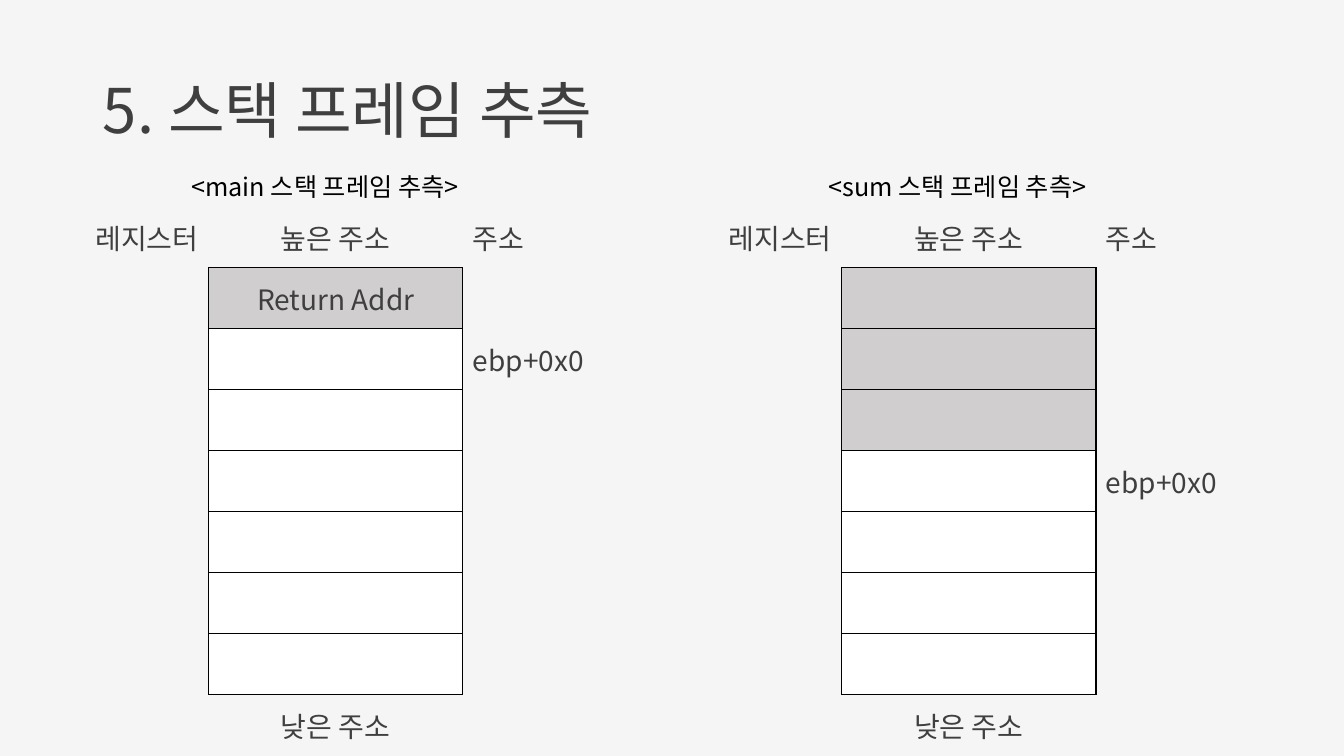
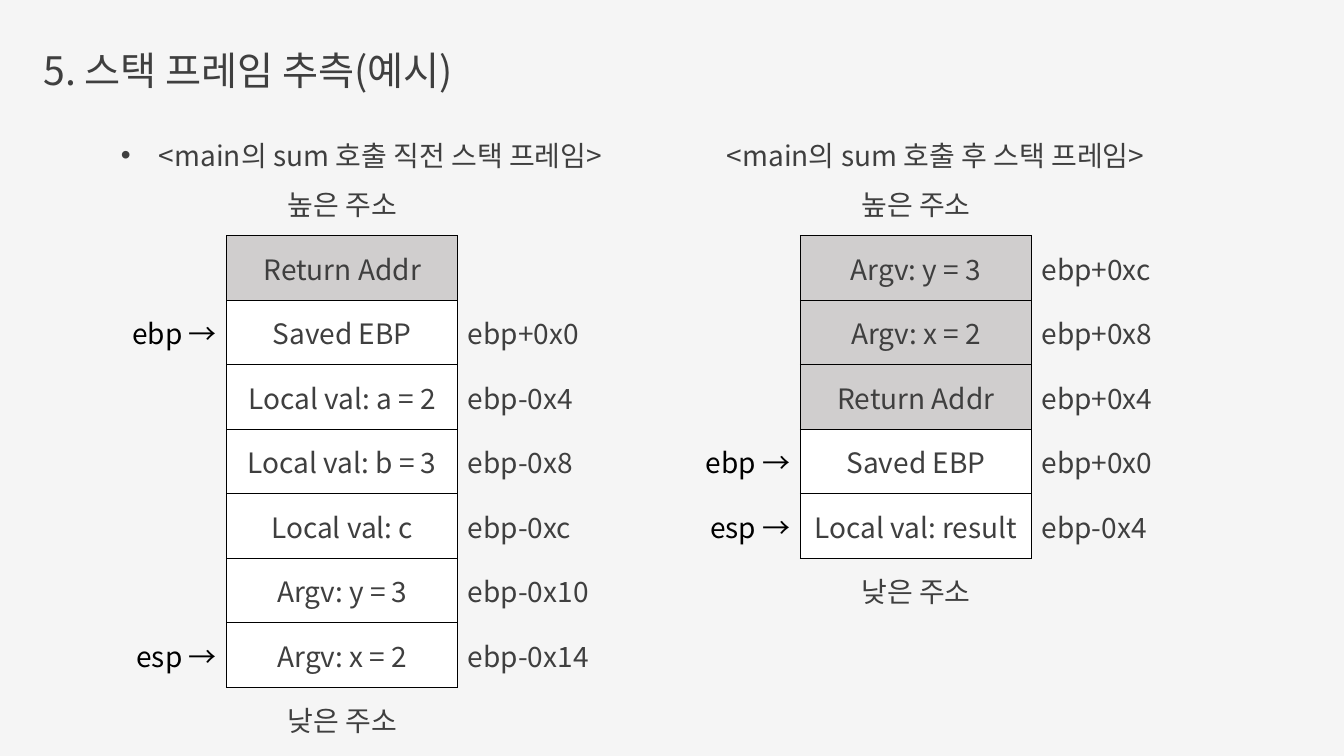
"""Build two slides that guess the stack frames of main and sum."""
from pptx import Presentation
from pptx.dml.color import RGBColor
from pptx.enum.text import MSO_ANCHOR, MSO_AUTO_SIZE, PP_ALIGN
from pptx.oxml import parse_xml
from pptx.oxml.ns import nsdecls, qn
from pptx.util import Inches, Pt

LEFT, CENTER, RIGHT = PP_ALIGN.LEFT, PP_ALIGN.CENTER, PP_ALIGN.RIGHT
MIDDLE, TOP = MSO_ANCHOR.MIDDLE, MSO_ANCHOR.TOP
FIXED = MSO_AUTO_SIZE.NONE

FONT = "Noto Sans CJK KR"
PAPER, INK, BLACK, GRAY, WHITE = "F5F5F5", "3F3F3F", "000000", "D0CECE", "FFFFFF"
ALIGNS = (RIGHT, CENTER, LEFT)
PLAIN = "{2D5ABB26-0587-4C30-8999-92F81FD0307C}"
HIGH, LOW = "높은 주소", "낮은 주소"
HEAD = ("레지스터", HIGH, "주소")
BARE = ("", HIGH, "")
EMPTY = ("", "", "")
BASE = ("", "", "ebp+0x0")

SLIDES = [
    {
        "title": "5. 스택 프레임 추측", "size": 44, "at": (0.92, 0.4, 12.12, 1.45),
        "layout": 5, "cols": (1.37, 2.52, 1.75), "row": 0.605, "top": 2.05,
        "note": (18, BLACK, 1.65), "head": HEAD,
        "frames": [
            {"name": "<main 스택 프레임 추측>", "box": (1.8, 3.5), "left": 0.7, "gray": 1,
             "rows": [("", "Return Addr", ""), BASE] + [EMPTY] * 5},
            {"name": "<sum 스택 프레임 추측>", "box": (8.12, 3.5), "left": 6.98, "gray": 3,
             "rows": [EMPTY] * 3 + [BASE] + [EMPTY] * 3},
        ],
    },
    {
        "title": "5. 스택 프레임 추측(예시)", "size": 28, "at": (0.33, 0, 12.12, 1.45),
        "layout": 1, "cols": (1.15, 2.29, 1.59), "row": 0.64, "top": 1.7,
        "note": (20, INK, 1.32), "head": BARE,
        "frames": [
            {"name": "<main의 sum 호출 직전 스택 프레임>", "box": (1.1, 5.36), "left": 1.1, "gray": 1,
             "rows": [("", "Return Addr", ""),
                      ("ebp →", "Saved EBP", "ebp+0x0"),
                      ("", "Local val: a = 2", "ebp-0x4"),
                      ("", "Local val: b = 3", "ebp-0x8"),
                      ("", "Local val: c", "ebp-0xc"),
                      ("", "Argv: y = 3", "ebp-0x10"),
                      ("esp →", "Argv: x = 2", "ebp-0x14")]},
            {"name": "<main의 sum 호출 후 스택 프레임>", "box": (7.11, 5.03), "left": 6.79, "gray": 3,
             "rows": [("", "Argv: y = 3", "ebp+0xc"),
                      ("", "Argv: x = 2", "ebp+0x8"),
                      ("", "Return Addr", "ebp+0x4"),
                      ("ebp →", "Saved EBP", "ebp+0x0"),
                      ("esp →", "Local val: result", "ebp-0x4")]},
        ],
    },
]


def color(code):
    return RGBColor.from_string(code)


def write(frame, text, size, ink=INK, align=LEFT):
    frame.text = text
    para = frame.paragraphs[0]
    para.alignment = align
    font = para.font
    font.size = Pt(size)
    font.color.rgb = color(ink)
    font.name = FONT
    props = para._p.pPr.find(qn("a:defRPr"))
    props.append(parse_xml(f'<a:ea {nsdecls("a")} typeface="{FONT}"/>'))
    return para


def place(shape, left, top, width, height, anchor):
    shape.left, shape.top = Inches(left), Inches(top)
    shape.width, shape.height = Inches(width), Inches(height)
    frame = shape.text_frame
    frame.word_wrap = True
    frame.auto_size = FIXED
    frame.vertical_anchor = anchor
    return frame


def caption(shape, name, box, note):
    size, ink, top = note
    left, width = box
    frame = place(shape, left, top, width, 0.5, TOP)
    props = frame.paragraphs[0]._p.get_or_add_pPr()
    props.set("marL", "0")
    props.set("indent", "0")
    props.append(parse_xml(f'<a:buNone {nsdecls("a")}/>'))
    para = write(frame, name, size, ink)
    para.space_before = Pt(0)


def border(cell, sides):
    props = cell._tc.get_or_add_tcPr()
    for spot, side in enumerate(sides):
        props.insert(spot, parse_xml(
            f'<a:ln{side} {nsdecls("a")} w="12700"><a:solidFill>'
            f'<a:srgbClr val="{BLACK}"/></a:solidFill></a:ln{side}>'))


def stack(slide, page, frame):
    rows = [page["head"], *frame["rows"], ("", LOW, "")]
    cols, high = page["cols"], page["row"]
    shape = slide.shapes.add_table(
        len(rows), len(cols), Inches(frame["left"]), Inches(page["top"]),
        Inches(sum(cols)), Inches(high * len(rows)))
    table = shape.table
    table.first_row = table.horz_banding = False
    table._tbl.tblPr.find(qn("a:tableStyleId")).text = PLAIN
    for col, width in zip(table.columns, cols):
        col.width = Inches(width)
    for r, row in enumerate(rows):
        table.rows[r].height = Inches(high)
        slot = 0 < r < len(rows) - 1
        for c, text in enumerate(row):
            cell = table.cell(r, c)
            cell.vertical_anchor = MIDDLE
            if slot and c == 1:
                cell.fill.solid()
                cell.fill.fore_color.rgb = color(GRAY if r <= frame["gray"] else WHITE)
                border(cell, "LRTB")
            else:
                cell.fill.background()
            if text:
                ink = BLACK if slot and c == 0 else INK
                write(cell.text_frame, text, 20, ink, ALIGNS[c])


def build(deck, page):
    slide = deck.slides.add_slide(deck.slide_layouts[page["layout"]])
    title = place(slide.shapes.title, *page["at"], MIDDLE)
    write(title, page["title"], page["size"]).line_spacing = 0.9
    bodies = [p for p in slide.placeholders if p.placeholder_format.idx == 1]
    for frame in page["frames"]:
        shape = bodies.pop() if bodies else slide.shapes.add_textbox(0, 0, 0, 0)
        caption(shape, frame["name"], frame["box"], page["note"])
        stack(slide, page, frame)


def main():
    deck = Presentation()
    deck.slide_width, deck.slide_height = Inches(13.33), Inches(7.5)
    fill = deck.slide_master.background.fill
    fill.solid()
    fill.fore_color.rgb = color(PAPER)
    for page in SLIDES:
        build(deck, page)
    deck.save("out.pptx")


if __name__ == "__main__":
    main()
